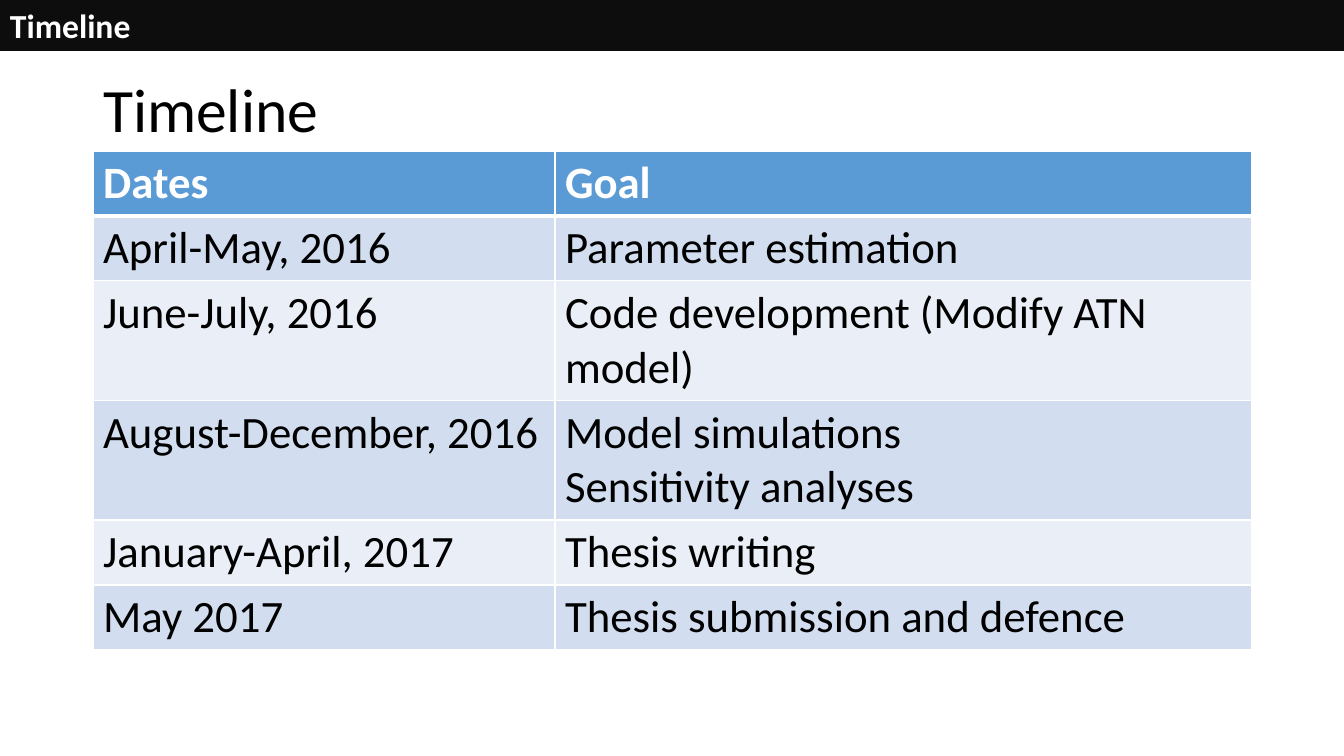
from lxml.etree import SubElement
from pptx import Presentation
from pptx.dml.color import RGBColor as RGB
from pptx.enum.shapes import MSO_SHAPE as SHAPE
from pptx.enum.text import MSO_ANCHOR as ANCHOR, PP_ALIGN as ALIGN
from pptx.oxml.ns import qn
from pptx.util import Emu, Pt

PX = 914400 / 100.8
COLORS = {
    "band": "0D0D0D", "header": "5B9BD5", "odd": "D2DEEF", "even": "EAEFF7",
    "white": "FFFFFF", "black": "000000",
}
ROWS = [
    ("Dates", ["Goal"]),
    ("April-May, 2016", ["Parameter estimation"]),
    ("June-July, 2016", ["Code development (Modify ATN model)"]),
    ("August-December, 2016", ["Model simulations", "Sensitivity analyses"]),
    ("January-April, 2017", ["Thesis writing"]),
    ("May 2017", ["Thesis submission and defence"]),
]


def px(*values):
    return [Emu(round(v * PX)) for v in values]


def write(tf, lines, size, color, bold=False):
    for i, line in enumerate(lines):
        p = tf.paragraphs[0] if i == 0 else tf.add_paragraph()
        p.alignment = ALIGN.LEFT
        r = p.add_run()
        r.text = line
        r.font.name = "Calibri"
        r.font.size = Pt(size)
        r.font.bold = bold
        r.font.color.rgb = RGB.from_string(COLORS[color])


prs = Presentation()
prs.slide_width, prs.slide_height = px(1344, 756)
s = prs.slides.add_slide(prs.slide_layouts[5])

# Title
title = s.shapes.title
title.left, title.top, title.width, title.height = px(93, 40, 1159, 146)
tf = title.text_frame
tf.word_wrap = True
tf.vertical_anchor = ANCHOR.MIDDLE
write(tf, ["Timeline"], 44, "black")
tf.paragraphs[0].line_spacing = 0.9

# Timeline table: rows grow to fit their text
table = s.shapes.add_table(len(ROWS), 2, *px(93, 151, 1159, 246)).table
for column, width in zip(table.columns, px(462, 697)):
    column.width = width
for i, (dates, goals) in enumerate(ROWS):
    table.rows[i].height = px(41)[0]
    header = i == 0
    fill = "header" if header else "odd" if i % 2 else "even"
    for j, lines in enumerate([[dates], goals]):
        cell = table.cell(i, j)
        write(cell.text_frame, lines, 32, "white" if header else "black", header)

        # White cell borders, thicker around the header's lower edge
        tc_pr = cell._tc.get_or_add_tcPr()
        for side in "LRTB":
            thick = (header and side == "B") or (i == 1 and side == "T")
            ln = SubElement(tc_pr, qn(f"a:ln{side}"), w=str(Pt(3 if thick else 1)))
            line_fill = SubElement(ln, qn("a:solidFill"))
            SubElement(line_fill, qn("a:srgbClr"), val=COLORS["white"])
        cell.fill.solid()
        cell.fill.fore_color.rgb = RGB.from_string(COLORS[fill])

# Top band
band = s.shapes.add_shape(SHAPE.RECTANGLE, *px(0, 0, 1344, 51))
band.shadow.inherit = False
band.fill.solid()
band.fill.fore_color.rgb = RGB.from_string(COLORS["band"])
band.line.fill.background()
tf = band.text_frame
tf.word_wrap = True
tf.vertical_anchor = ANCHOR.TOP
write(tf, ["Timeline"], 24, "white", True)

prs.save("out.pptx")
